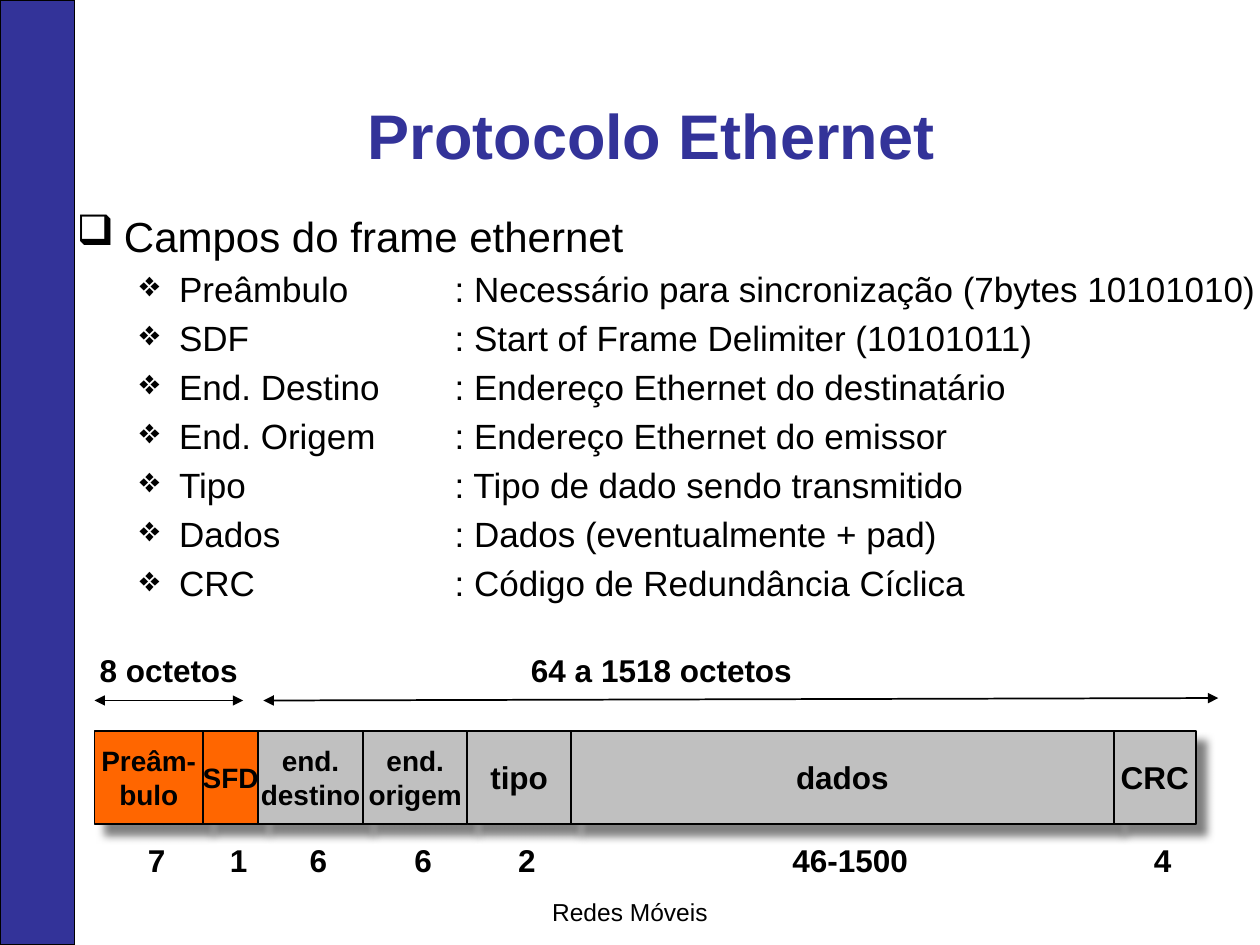
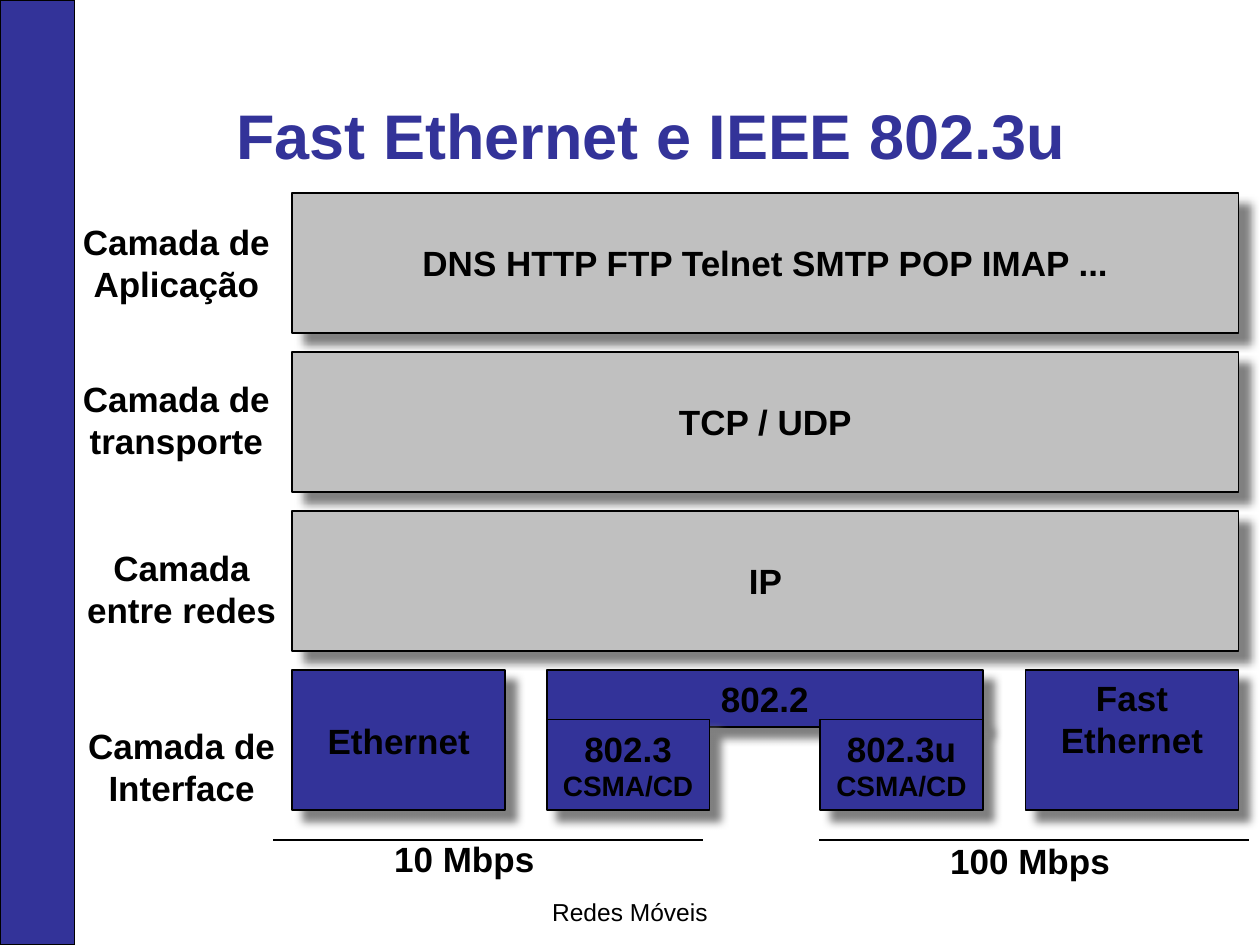
from itertools import accumulate

from lxml.etree import SubElement
from pptx import Presentation
from pptx.dml.color import RGBColor
from pptx.enum.shapes import MSO_CONNECTOR, MSO_SHAPE
from pptx.enum.text import MSO_ANCHOR as Anchor, MSO_AUTO_SIZE, PP_ALIGN as Align
from pptx.oxml.ns import qn
from pptx.util import Pt

FONT = "Arial"
BLUE = RGBColor(0x33, 0x33, 0x99)
ORANGE = RGBColor(0xFF, 0x66, 0x00)
GRAY = RGBColor(0xC0, 0xC0, 0xC0)
SHADOW = RGBColor(0x80, 0x80, 0x80)
BLACK = RGBColor(0, 0, 0)
WIDTH, HEIGHT = 720, 540

FIELD_DESCRIPTIONS = [
    "Preâmbulo\t: Necessário para sincronização (7bytes 10101010)",
    "SDF\t\t: Start of Frame Delimiter (10101011)",
    "End. Destino\t: Endereço Ethernet do destinatário",
    "End. Origem\t: Endereço Ethernet do emissor",
    "Tipo\t\t: Tipo de dado sendo transmitido",
    "Dados\t\t: Dados (eventualmente + pad)",
    "CRC\t\t: Código de Redundância Cíclica",
]
FRAME_FIELDS = [
    ("Preâm-\vbulo", 62, ORANGE, 16, "7"),
    ("SFD", 31.6, ORANGE, 16, "1"),
    ("end.\vdestino", 59.8, GRAY, 16, "6"),
    ("end.\vorigem", 59.7, GRAY, 16, "6"),
    ("tipo", 59.1, GRAY, 18, "2"),
    ("dados", 310.3, GRAY, 18, "46-1500"),
    ("CRC", 46.8, GRAY, 18, "4"),
]
LAYER_LABELS = [
    ("Camada de\vAplicação", 122.4, 144),
    ("Camada de\vtransporte", 212.4, 144),
    ("Camada\ventre redes", 308.9, 150),
    ("Camada de\vInterface", 410.4, 150),
]
LAYER_PROTOCOLS = [
    "DNS HTTP FTP Telnet SMTP POP IMAP ...",
    "TCP / UDP",
    "IP",
]


def format_runs(paragraph, size, bold=True, colour=BLACK):
    for run in paragraph.runs:
        run.font.name = FONT
        run.font.size = Pt(size)
        run.font.bold = bold
        run.font.color.rgb = colour


def set_frame(shape, anchor, inset_x=0, inset_y=0, wrap=True):
    frame = shape.text_frame
    frame.word_wrap = wrap
    frame.auto_size = MSO_AUTO_SIZE.NONE
    frame.vertical_anchor = anchor
    frame.margin_left = frame.margin_right = Pt(inset_x)
    frame.margin_top = frame.margin_bottom = Pt(inset_y)
    return frame


def write(shape, text, sizes, bold=True, colour=BLACK, **frame_options):
    frame = set_frame(shape, **frame_options)
    frame.text = text
    for paragraph, size in zip(frame.paragraphs, sizes):
        paragraph.alignment = Align.CENTER
        format_runs(paragraph, size, bold, colour)


def add_text(slide, text, left, top, width, height, size, bold=True, inset_x=0, inset_y=0):
    box = slide.shapes.add_textbox(Pt(left), Pt(top), Pt(width), Pt(height))
    write(box, text, [size], bold, anchor=Anchor.TOP, inset_x=inset_x, inset_y=inset_y)


def add_rectangle(slide, left, top, width, height, fill, line_width=1):
    shape = slide.shapes.add_shape(
        MSO_SHAPE.RECTANGLE, Pt(left), Pt(top), Pt(width), Pt(height))
    shape.shadow.inherit = False
    shape.fill.solid()
    shape.fill.fore_color.rgb = fill
    shape.line.color.rgb = BLACK
    shape.line.width = Pt(line_width)
    return shape


def add_block(slide, text, left, top, width, height, fill, sizes=(20,),
              anchor=Anchor.MIDDLE, inset_y=3.6, wrap=True):
    block = add_rectangle(slide, left, top, width, height, fill)
    effects = block._element.spPr.find(qn("a:effectLst"))
    shadow = SubElement(effects, qn("a:outerShdw"), blurRad=str(Pt(5)),
                        dist=str(Pt(8.5)), dir="2700000", algn="ctr", rotWithShape="0")
    SubElement(shadow, qn("a:srgbClr"), val=str(SHADOW))
    write(block, text, sizes, anchor=anchor, inset_y=inset_y, wrap=wrap)


def add_line(slide, left, right, start_y, end_y, arrows=False):
    line = slide.shapes.add_connector(
        MSO_CONNECTOR.STRAIGHT, Pt(left), Pt(start_y), Pt(right), Pt(end_y))
    line.line.color.rgb = BLACK
    line.line.width = Pt(1)
    if arrows:
        for end in ("a:headEnd", "a:tailEnd"):
            SubElement(line.line._get_or_add_ln(), qn(end), type="triangle")
    SubElement(line._element.spPr, qn("a:effectLst"))


def add_bullet(paragraph, text, symbol, size, margin, hanging, level=0, space_before=0):
    paragraph.text = text
    paragraph.level = level
    properties = paragraph._p.get_or_add_pPr()
    properties.set("marL", str(Pt(margin)))
    properties.set("indent", str(Pt(-hanging)))
    properties.set("defTabSz", str(Pt(72)))
    SubElement(properties, qn("a:buChar"), char=symbol)
    paragraph.space_before = Pt(space_before)
    format_runs(paragraph, size, bold=False)


def add_base_slide(presentation, title_text):
    slide = presentation.slides.add_slide(presentation.slide_layouts[5])
    add_rectangle(slide, 0, 0, 42.5, HEIGHT, BLUE, 0.75)
    add_text(slide, "Redes Móveis", 0, 509, WIDTH, 24.5, 14, bold=False,
             inset_x=7.2, inset_y=3.6)
    title = slide.shapes.title
    title.left, title.top = Pt(30.2), Pt(15.1)
    title.width, title.height = Pt(684), Pt(87.1)
    write(title, title_text, [36], colour=BLUE,
          anchor=Anchor.BOTTOM, inset_x=7.2, inset_y=3.6)
    return slide


def add_field_list(slide):
    box = slide.shapes.add_textbox(Pt(36.7), Pt(116.6), Pt(683.3), Pt(263.5))
    frame = set_frame(box, Anchor.TOP, 7.2, 3.6)
    frame.margin_right = 0
    add_bullet(frame.paragraphs[0], "Campos do frame ethernet", "❑", 24, 27, 27)
    for description in FIELD_DESCRIPTIONS:
        add_bullet(frame.add_paragraph(), description, "❖", 20, 58.5, 22.5,
                   level=1, space_before=4)


def add_frame_diagram(slide):
    lefts = accumulate((field[1] for field in FRAME_FIELDS), initial=54)
    for left, (name, width, fill, size, octets) in zip(lefts, FRAME_FIELDS):
        add_block(slide, name, left, 417.6, width, 53.3, fill,
                  (size,), inset_y=0, wrap=False)
        add_text(slide, octets, left + 4.5, 480.5, width, 21.6, 18)
    add_text(slide, "8 octetos", 48.2, 372.2, 96.5, 21.6, 18)
    add_text(slide, "64 a 1518 octetos", 288, 372.2, 180, 21.6, 18)
    add_line(slide, 54, 139, 400.3, 400.3, arrows=True)
    add_line(slide, 150.5, 696.2, 400.3, 398.9, arrows=True)


def add_layer_stack(slide):
    left, width, top, step, height = 167, 540.7, 110.2, 90.9, 80
    for label, label_top, label_width in LAYER_LABELS:
        add_text(slide, label, 28.8, label_top, label_width, 54.7, 20,
                 inset_x=7.2, inset_y=3.6)
    for index, protocols in enumerate(LAYER_PROTOCOLS):
        add_block(slide, protocols, left, top + index * step, width, height, GRAY)

    interface_top = top + len(LAYER_PROTOCOLS) * step
    end_width, middle_left, middle_width, access_width = 121.7, 312.5, 249.1, 92.9
    add_block(slide, "Ethernet", left, interface_top, end_width, height, BLUE)
    add_block(slide, "802.2", middle_left, interface_top, middle_width, 32.4, BLUE)
    add_block(slide, "Fast\vEthernet", left + width - end_width, interface_top,
              end_width, height, BLUE, anchor=Anchor.TOP)
    access_lefts = (middle_left, middle_left + middle_width - access_width)
    for access_left, standard in zip(access_lefts, ("802.3", "802.3u")):
        add_block(slide, f"{standard}\nCSMA/CD", access_left, interface_top + 28.2,
                  access_width, 51.8, BLUE, (20, 16))


def add_speeds(slide):
    for speed, text_left, text_top, line_left in (
            ("10 Mbps", 184.3, 478.8, 156.2), ("100 Mbps", 507.6, 479.5, 468)):
        add_text(slide, speed, text_left, text_top, 162, 23.8, 20, inset_x=7.2)
        add_line(slide, line_left, line_left + 245.8, 480.2, 480.2)


def main():
    presentation = Presentation()
    presentation.slide_width, presentation.slide_height = Pt(WIDTH), Pt(HEIGHT)

    frame_slide = add_base_slide(presentation, "Protocolo Ethernet")
    add_field_list(frame_slide)
    add_frame_diagram(frame_slide)

    layers_slide = add_base_slide(presentation, "Fast Ethernet e IEEE 802.3u")
    add_layer_stack(layers_slide)
    add_speeds(layers_slide)

    presentation.save("out.pptx")


if __name__ == "__main__":
    main()
